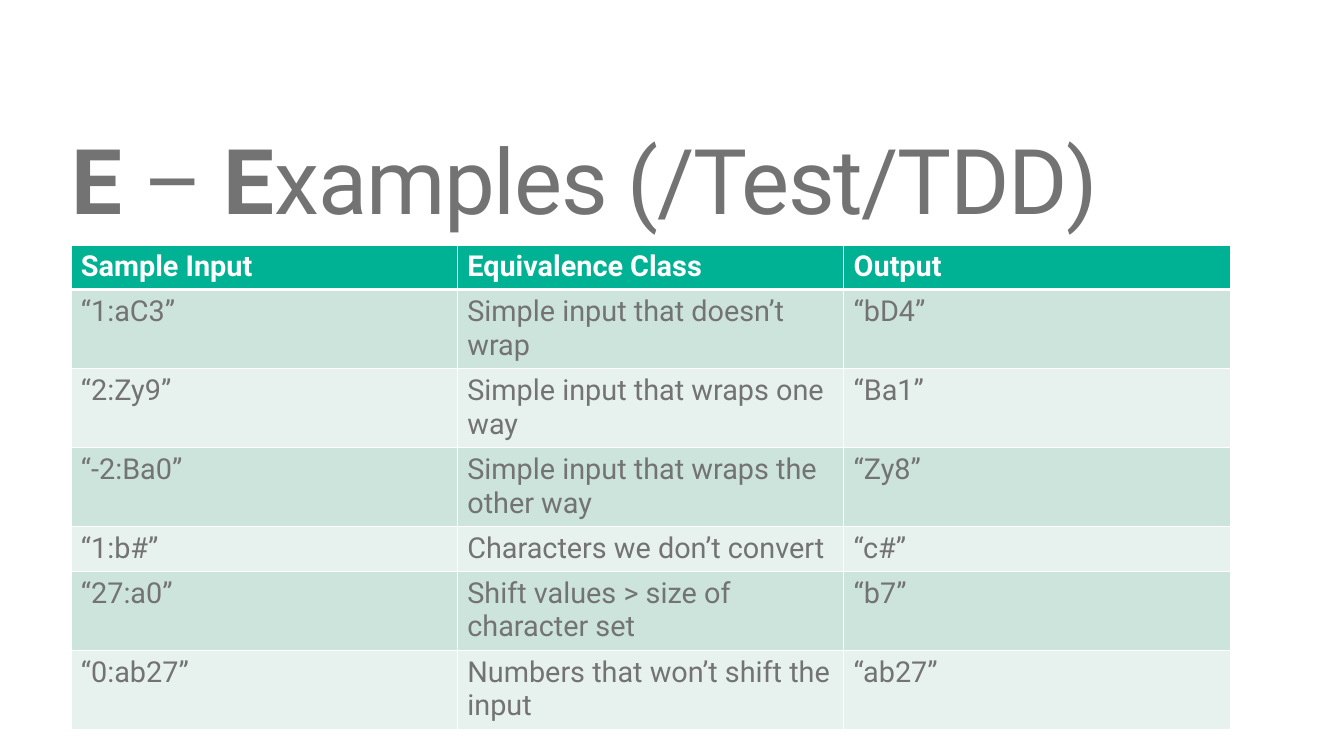
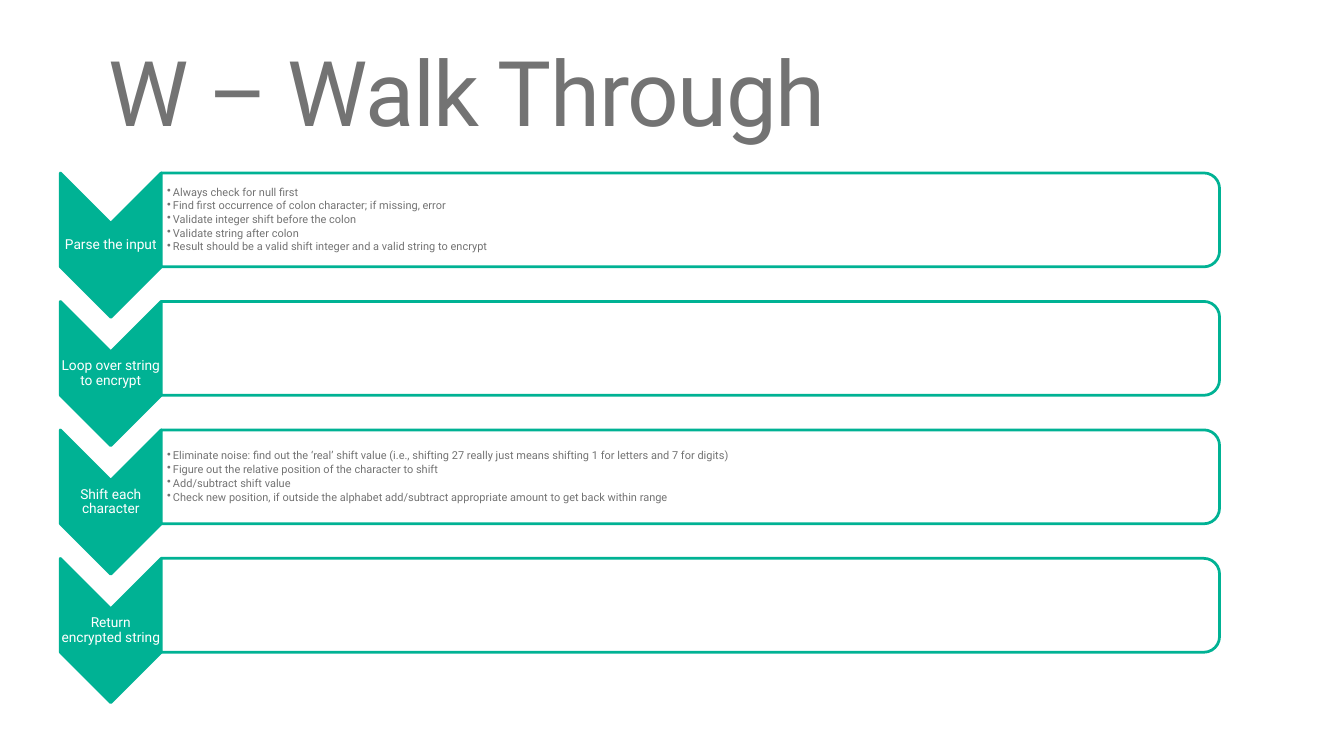
import dataclasses

import lxml.etree
import pptx
import pptx.dml.color
import pptx.enum.shapes
import pptx.enum.text
import pptx.oxml.ns
import pptx.util

GREEN = pptx.dml.color.RGBColor(0x00, 0xB2, 0x94)
GRAY = pptx.dml.color.RGBColor(0x73, 0x73, 0x73)
WHITE = pptx.dml.color.RGBColor(0xFF, 0xFF, 0xFF)
DARK_BAND = pptx.dml.color.RGBColor(0xCC, 0xE4, 0xDC)
LIGHT_BAND = pptx.dml.color.RGBColor(0xE7, 0xF2, 0xEE)
FONT = "Roboto"
SHAPES = pptx.enum.shapes.MSO_SHAPE
ALIGN = pptx.enum.text.PP_ALIGN
ANCHOR = pptx.enum.text.MSO_ANCHOR

EXAMPLES = [
    ("Sample Input", "Equivalence Class", "Output"),
    ("“1:aC3”", "Simple input that doesn’t wrap", "“bD4”"),
    ("“2:Zy9”", "Simple input that wraps one way", "“Ba1”"),
    ("“-2:Ba0”", "Simple input that wraps the other way", "“Zy8”"),
    ("“1:b#”", "Characters we don’t convert", "“c#”"),
    ("“27:a0”", "Shift values > size of character set", "“b7”"),
    ("“0:ab27”", "Numbers that won’t shift the input", "“ab27”"),
]

STEPS = [
    ("Parse the input", [
        "Always check for null first",
        "Find first occurrence of colon character; if missing, error",
        "Validate integer shift before the colon",
        "Validate string after colon",
        "Result should be a valid shift integer and a valid string to encrypt",
    ]),
    ("Loop over string to encrypt", []),
    ("Shift each character", [
        "Eliminate noise: find out the ‘real’ shift value (i.e., shifting 27 "
        "really just means shifting 1 for letters and 7 for digits)",
        "Figure out the relative position of the character to shift",
        "Add/subtract shift value",
        "Check new position, if outside the alphabet add/subtract appropriate "
        "amount to get back within range",
    ]),
    ("Return encrypted string", []),
]


@dataclasses.dataclass
class Box:
    left: float
    top: float
    width: float
    height: float

    def share(self, left, top, width, height):
        return Box(
            self.left + self.width * left / 100,
            self.top + self.height * top / 100,
            self.width * width / 100,
            self.height * height / 100,
        )

    def turned(self):
        shift = (self.width - self.height) / 2
        return Box(self.left + shift, self.top - shift, self.height, self.width)

    def lengths(self):
        return [round(length) for length in dataclasses.astuple(self)]


def add_span(para, text, size, color, bold=False):
    span = para.add_run()
    span.text = text
    span.font.name = FONT
    span.font.size = pptx.util.Pt(size)
    span.font.color.rgb = color
    span.font.bold = bold
    return span


def add_frame(page, box, insets, anchor=ANCHOR.TOP):
    frame = page.shapes.add_textbox(*box.lengths()).text_frame
    frame.word_wrap = True
    frame.vertical_anchor = anchor
    frame.margin_left, frame.margin_top, frame.margin_right, frame.margin_bottom = (
        pptx.util.Inches(inset) for inset in insets
    )
    return frame


def add_title(page, box, spans):
    para = add_frame(page, box, (0.16, 0.08, 0.16, 0.08)).paragraphs[0]
    para.line_spacing = 0.9
    for text, bold in spans:
        span = add_span(para, text, 66, GRAY, bold)
        span._r.get_or_add_rPr().set("spc", "-100")


def add_borders(cell, bottom_width):
    properties = cell._tc.get_or_add_tcPr()
    for side, width in (("L", 1), ("R", 1), ("T", 1), ("B", bottom_width)):
        line = lxml.etree.SubElement(
            properties, pptx.oxml.ns.qn("a:ln" + side), w=str(int(pptx.util.Pt(width)))
        )
        fill = lxml.etree.SubElement(line, pptx.oxml.ns.qn("a:solidFill"))
        lxml.etree.SubElement(fill, pptx.oxml.ns.qn("a:srgbClr"), val=str(WHITE))


def add_examples(page, box, rows):
    table = page.shapes.add_table(len(rows), len(rows[0]), *box.lengths()).table
    table.first_row = False
    table.horz_banding = False
    for row_index, texts in enumerate(rows):
        header = row_index == 0
        band = DARK_BAND if row_index % 2 else LIGHT_BAND
        for column_index, text in enumerate(texts):
            cell = table.cell(row_index, column_index)
            add_borders(cell, 3 if header else 1)
            cell.fill.solid()
            cell.fill.fore_color.rgb = GREEN if header else band
            add_span(cell.text_frame.paragraphs[0], text, 21,
                     WHITE if header else GRAY, header)


def add_turned_shape(page, kind, box, fill):
    shape = page.shapes.add_shape(kind, *box.turned().lengths())
    shape.rotation = 90
    shape.shadow.inherit = False
    shape.fill.solid()
    shape.fill.fore_color.rgb = fill
    shape.line.color.rgb = GREEN
    shape.line.width = pptx.util.Pt(2)


def add_bullets(page, box, bullets):
    frame = add_frame(page, box, (0.06, 0.01, 0.01, 0.01), ANCHOR.MIDDLE)
    indent = int(pptx.util.Inches(0.06))
    for index, text in enumerate(bullets):
        para = frame.add_paragraph() if index else frame.paragraphs[0]
        properties = para._p.get_or_add_pPr()
        properties.set("marL", str(indent))
        properties.set("indent", str(-indent))
        lxml.etree.SubElement(properties, pptx.oxml.ns.qn("a:buChar"), char="•")
        para.line_spacing = 0.9
        para.space_after = pptx.util.Pt(1.4)
        add_span(para, text, 8, GRAY)


def add_step(page, box, label, bullets):
    arrow_share = 8.7
    add_turned_shape(page, SHAPES.CHEVRON, box.share(0, 0, arrow_share, 100), GREEN)
    label_box = box.share(0, 34.9, arrow_share, 30.2)
    frame = add_frame(page, label_box, [0.01] * 4, ANCHOR.MIDDLE)
    para = frame.paragraphs[0]
    para.alignment = ALIGN.CENTER
    para.line_spacing = 0.9
    para.space_after = pptx.util.Pt(4)
    add_span(para, label, 10, WHITE)
    panel = box.share(arrow_share, 0, 100 - arrow_share, 65.1)
    add_turned_shape(page, SHAPES.ROUND_2_SAME_RECTANGLE, panel, WHITE)
    if bullets:
        add_bullets(page, panel.share(0, 5, 99.5, 90), bullets)


def add_steps(page, box, steps):
    step_share = 27.24
    pitch = (100 - step_share) / (len(steps) - 1)
    for index, (label, bullets) in enumerate(steps):
        add_step(page, box.share(0, index * pitch, 100, step_share), label, bullets)


def add_page(deck):
    return deck.slides.add_slide(deck.slide_layouts[6])


def build_examples_page(deck, area):
    page = add_page(deck)
    add_title(page, area.share(4.12, 17, 86.47, 16.6),
              [("E", True), (" – ", False), ("E", True),
               ("xamples (/Test/TDD)", False)])
    add_examples(page, area.share(5.29, 32.42, 86.25, 40.26), EXAMPLES)


def build_walk_page(deck, area):
    page = add_page(deck)
    add_title(page, area.share(6.91, 5.36, 86.25, 19.35),
              [("W – Walk Through", False)])
    add_steps(page, area.share(4.49, 22.88, 86.25, 70.07), STEPS)


def main():
    deck = pptx.Presentation()
    deck.slide_width = pptx.util.Inches(13.6)
    deck.slide_height = pptx.util.Inches(7.65)
    area = Box(0, 0, deck.slide_width, deck.slide_height)
    build_examples_page(deck, area)
    build_walk_page(deck, area)
    deck.save("out.pptx")


if __name__ == "__main__":
    main()
